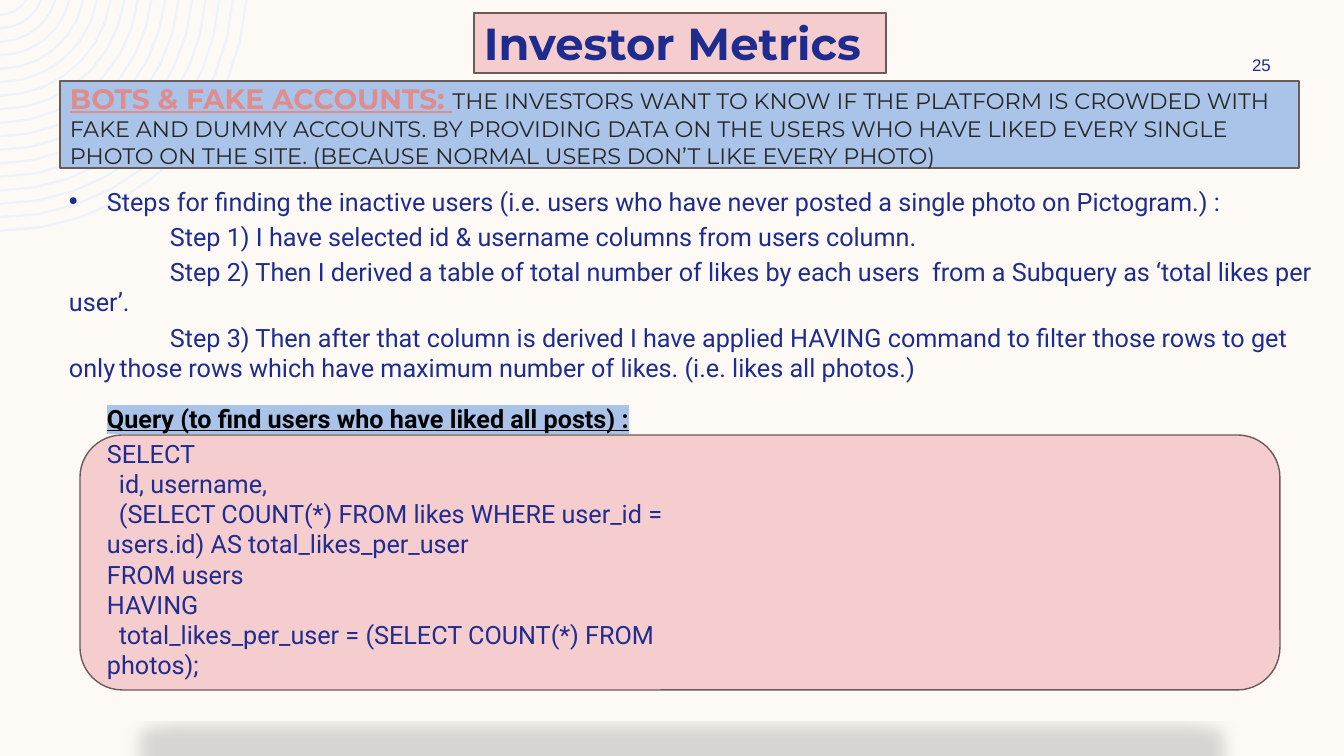
import math
from dataclasses import dataclass

import pptx
import pptx.dml.color
import pptx.enum.shapes
import pptx.enum.text
import pptx.oxml
import pptx.oxml.ns
import pptx.util

PX = 914400 / 100.8  # EMU in one px
COLOURS = {
    "paper": "FDFAF6", "rings": "EEF3FA", "blue": "AAC4E9", "pink": "F5CDCE",
    "outline": "6B5A5A", "rose": "DF8C8C", "ink": "262626", "navy": "1F2C8F",
    "code": "202C8F", "black": "000000",
}
PRESET = pptx.enum.shapes.MSO_SHAPE
ALIGN = pptx.enum.text.PP_ALIGN
ANCHOR = pptx.enum.text.MSO_ANCHOR


@dataclass
class Panel:
    left: int
    top: int
    width: int
    height: int
    fill: str
    preset: int = PRESET.RECTANGLE


@dataclass
class Style:
    font: str
    size: int
    colour: str
    bold: bool = False
    underline: bool = False


@dataclass
class Line:
    spans: list[tuple[str, Style]]
    margin: int = 0
    indent: int = 0
    before: float = 0
    bullet: str = ""
    tab: int = 0


@dataclass
class TextBox:
    left: int
    top: int
    width: int
    height: int
    lines: list[Line]
    anchor: int = ANCHOR.TOP
    align: int = ALIGN.LEFT
    columns: int = 1


def emu(px: float) -> pptx.util.Emu:
    return pptx.util.Emu(round(px * PX))


def rgb(name: str) -> pptx.dml.color.RGBColor:
    return pptx.dml.color.RGBColor.from_string(COLOURS[name])


def element(xml: str):
    head, tail = xml.split(" ", 1)
    return pptx.oxml.parse_xml(f"{head} {pptx.oxml.ns.nsdecls('a')} {tail}")


def draw_rings(page, count: int, outer: int, smallest: int, rise: int) -> None:
    """Concentric bands around a centre just above the top left corner."""
    band = 2.4
    gap = (outer - smallest) / (count - 1)

    def arc(radius: float, steps: int) -> list[tuple[int, int]]:
        start = math.asin(rise / radius)
        angles = [start + (math.pi / 2 - start) * step / steps for step in range(steps + 1)]
        return [(emu(radius * math.cos(angle)), emu(radius * math.sin(angle) - rise))
                for angle in angles]

    builder = None
    for ring in range(count):
        radius = outer - ring * gap
        steps = math.ceil(math.sqrt(radius) / 2) + 1
        points = arc(radius, steps) + arc(radius - band, steps)[::-1]
        if builder is None:
            builder = page.shapes.build_freeform(*points[0])
        else:
            builder.move_to(*points[0])
        builder.add_line_segments(points[1:], close=True)
    rings = builder.convert_to_shape()
    rings.shadow.inherit = False
    rings.fill.solid()
    rings.fill.fore_color.rgb = rgb("rings")
    rings.line.fill.background()


def draw_panel(page, panel: Panel):
    shape = page.shapes.add_shape(panel.preset, emu(panel.left), emu(panel.top),
                                  emu(panel.width), emu(panel.height))
    shape.shadow.inherit = False
    shape.fill.solid()
    shape.fill.fore_color.rgb = rgb(panel.fill)
    shape.line.color.rgb = rgb("outline")
    shape.line.width = pptx.util.Pt(1)
    return shape


def cast_shadow(shape) -> None:
    """Flattened shadow lying below the shape."""
    effects = shape._element.spPr.find(pptx.oxml.ns.qn("a:effectLst"))
    effects.append(element(
        '<a:outerShdw blurRad="152400" dist="317500" dir="5400000" sx="90000" '
        'sy="-19000" rotWithShape="0"><a:srgbClr val="000000">'
        '<a:alpha val="15000"/></a:srgbClr></a:outerShdw>'))


def format_line(para, line: Line) -> None:
    para.space_before = pptx.util.Pt(line.before)
    properties = para._p.get_or_add_pPr()
    properties.set("marL", str(emu(line.margin)))
    properties.set("indent", str(emu(line.indent)))
    if line.bullet:
        properties.append(element('<a:buFont typeface="Arial"/>'))
        properties.append(element(f'<a:buChar char="{line.bullet}"/>'))
    if line.tab:
        properties.append(element(
            f'<a:tabLst ><a:tab pos="{emu(line.tab)}" algn="l"/></a:tabLst>'))
    for words, style in line.spans:
        span = para.add_run()
        span.text = words
        span.font.name = style.font
        span.font.size = pptx.util.Pt(style.size)
        span.font.bold = style.bold
        span.font.underline = style.underline
        span.font.color.rgb = rgb(style.colour)


def draw_text(page, text: TextBox):
    box = page.shapes.add_textbox(emu(text.left), emu(text.top),
                                  emu(text.width), emu(text.height))
    frame = box.text_frame
    frame.word_wrap = True
    frame.vertical_anchor = text.anchor
    if text.columns > 1:
        frame._txBody.bodyPr.set("numCol", str(text.columns))
    for number, line in enumerate(text.lines):
        para = frame.add_paragraph() if number else frame.paragraphs[0]
        para.alignment = text.align
        format_line(para, line)
    return box


def highlight(box, colour: str) -> None:
    for span in box.text_frame.paragraphs[0].runs:
        latin = span.font._element.find(pptx.oxml.ns.qn("a:latin"))
        latin.addprevious(element(
            f'<a:highlight ><a:srgbClr val="{COLOURS[colour]}"/></a:highlight>'))


# Wording
LEAD = Style("Montserrat", 20, "rose", bold=True, underline=True)
INTRO = Style("Montserrat", 16, "ink")
TITLE = Style("Montserrat", 32, "navy", bold=True)
NUMBER = Style("Arial", 12, "navy")
BODY = Style("Roboto", 18, "navy")
CODE = Style("Roboto", 18, "code")
QUERY = Style("Roboto", 18, "black", bold=True, underline=True)

QUESTION = ("THE INVESTORS WANT TO KNOW IF THE PLATFORM IS CROWDED WITH FAKE AND DUMMY "
            "ACCOUNTS. BY PROVIDING DATA ON THE USERS WHO HAVE LIKED EVERY SINGLE PHOTO "
            "ON THE SITE. (BECAUSE NORMAL USERS DON’T LIKE EVERY PHOTO)")
OVERVIEW = ("Steps for finding the inactive users (i.e. users who have never posted "
            "a single photo on Pictogram.) :")
STEPS = [
    "Step 1) I have selected id & username columns from users column.",
    "Step 2) Then I derived a table of total number of likes by each users  from "
    "a Subquery as ‘total likes per user’.",
    "Step 3) Then after that column is derived I have applied HAVING command to filter "
    "those rows to get only\tthose rows which have maximum number of likes. "
    "(i.e. likes all photos.)",
]
SQL = [  # first-line indent in px, code
    (0, "SELECT"),
    (12, "id, username,"),
    (12, "(SELECT COUNT(*) FROM likes WHERE user_id = users.id) AS total_likes_per_user"),
    (0, "FROM users"),
    (0, "HAVING"),
    (12, "total_likes_per_user = (SELECT COUNT(*) FROM photos);"),
]


def main() -> None:
    deck = pptx.Presentation()
    deck.slide_width, deck.slide_height = emu(1344), emu(756)
    page = deck.slides.add_slide(deck.slide_layouts[6])
    page.background.fill.solid()
    page.background.fill.fore_color.rgb = rgb("paper")
    draw_rings(page, count=17, outer=248, smallest=32, rise=16)

    # Question banner and steps
    draw_panel(page, Panel(60, 81, 1239, 87, "blue"))
    draw_text(page, TextBox(60, 74, 1255, 102, [
        Line([("BOTS & FAKE ACCOUNTS: ", LEAD), (QUESTION, INTRO)])], ANCHOR.MIDDLE))
    steps = [Line([(step, BODY)], indent=101, before=3.6, tab=182) for step in STEPS]
    draw_text(page, TextBox(59, 181, 1264, 188, [
        Line([(OVERVIEW, BODY)], margin=38, indent=-38, before=3.6, bullet="•"), *steps]))

    # Title and page number
    draw_panel(page, Panel(474, 13, 412, 60, "pink"))
    draw_text(page, TextBox(474, 28, 439, 30, [Line([("Investor Metrics", TITLE)])],
                            ANCHOR.MIDDLE))
    draw_text(page, TextBox(1207, 50, 109, 30, [Line([("25", NUMBER)])],
                            ANCHOR.MIDDLE, ALIGN.CENTER))

    # Query
    cast_shadow(draw_panel(page, Panel(80, 435, 1200, 255, "pink",
                                       PRESET.ROUNDED_RECTANGLE)))
    heading = draw_text(page, TextBox(97, 398, 570, 40, [
        Line([("Query (to find users who have liked all posts) :", QUERY)])]))
    highlight(heading, "blue")
    draw_text(page, TextBox(97, 433, 1151, 264, [
        Line([(code, CODE)], indent=indent) for indent, code in SQL], columns=2))

    deck.save("out.pptx")


if __name__ == "__main__":
    main()
